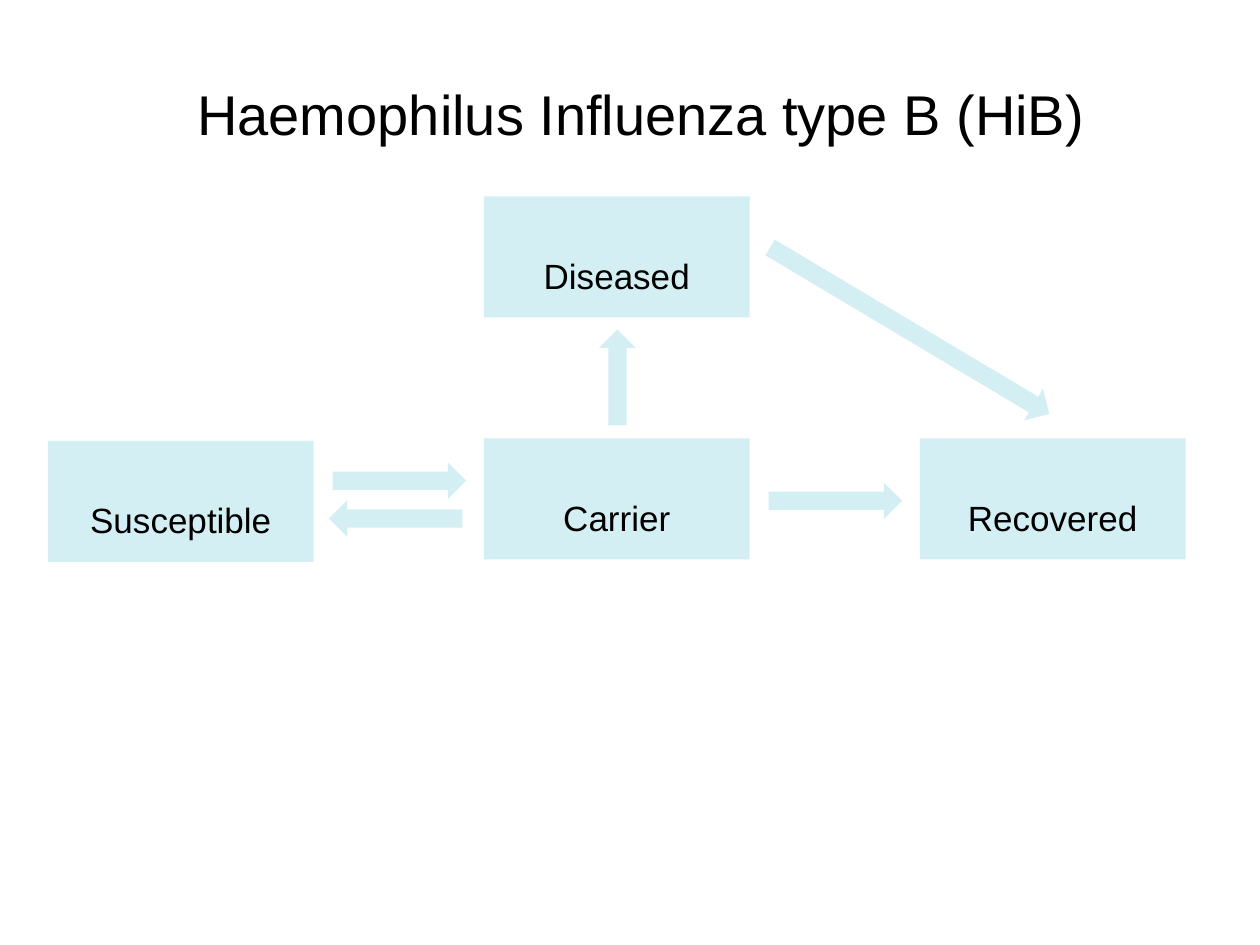
import pptx
import pptx.dml.color
import pptx.enum.shapes
import pptx.enum.text
import pptx.util

Inches = pptx.util.Inches
Pt = pptx.util.Pt
Shape = pptx.enum.shapes.MSO_SHAPE
Align = pptx.enum.text.PP_ALIGN
Anchor = pptx.enum.text.MSO_ANCHOR

BLACK = pptx.dml.color.RGBColor(0x00, 0x00, 0x00)
AQUA = pptx.dml.color.RGBColor(0xD4, 0xEF, 0xF4)

BOX_W, BOX_H = 2.11, 0.96
ARROW_H = 0.29
TOP, ROW = 1.56, 3.48
LEFT, STEP = 0.38, 3.46


class Chart:
    def __init__(self, deck):
        self.font = "Arial"
        self.slide = deck.slides.add_slide(deck.slide_layouts[5])

    def label(self, frame, text, size):
        """Set one centred line in the slide's type style."""
        frame.text = text
        line = frame.paragraphs[0]
        line.alignment = Align.CENTER
        font = line.runs[0].font
        font.name, font.size, font.color.rgb = self.font, Pt(size), BLACK

    def title(self, text):
        shape = self.slide.shapes.title
        shape.left, shape.top = Inches(0.33), Inches(0.62)
        shape.width, shape.height = Inches(9.52), Inches(0.55)
        frame = shape.text_frame
        frame.margin_left = frame.margin_right = frame.margin_bottom = 0
        frame.margin_top = Inches(0.01)
        frame.vertical_anchor = Anchor.TOP
        frame.word_wrap = True
        self.label(frame, text, 32)

    def block(self, kind, left, top, width, height):
        """Add a flat, unlined shape in the diagram colour."""
        shape = self.slide.shapes.add_shape(
            kind, Inches(left), Inches(top), Inches(width), Inches(height))
        shape.shadow.inherit = False
        shape.fill.solid()
        shape.fill.fore_color.rgb = AQUA
        shape.line.fill.background()
        return shape

    def state(self, text, left, top):
        frame = self.block(Shape.RECTANGLE, left, top, BOX_W, BOX_H).text_frame
        frame.vertical_anchor = Anchor.MIDDLE
        frame.margin_top = Inches(0.34)  # sets the label low in its box
        frame.word_wrap = True
        self.label(frame, text, 20)

    def arrow(self, left, top, width, turn=0):
        shape = self.block(Shape.RIGHT_ARROW, left, top, width, ARROW_H)
        shape.rotation = turn


def main():
    deck = pptx.Presentation()
    deck.slide_width, deck.slide_height = Inches(10), Inches(7.5)
    chart = Chart(deck)
    chart.title("Haemophilus Influenza type B (HiB)")

    states = [
        ("Susceptible", 0, ROW + 0.02),
        ("Carrier", 1, ROW),
        ("Recovered", 2, ROW),
        ("Diseased", 1, TOP),
    ]
    for name, col, top in states:
        chart.state(name, LEFT + col * STEP, top)

    chart.arrow(6.1, 3.83, 1.06)  # carrier to recovered
    chart.arrow(4.52, 2.85, 0.76, 270)  # carrier to diseased
    chart.arrow(5.93, 2.48, 2.58, 30.8)  # diseased to recovered
    chart.arrow(2.64, 3.67, 1.06)  # susceptible to carrier
    chart.arrow(2.61, 3.97, 1.06, 180)  # carrier to susceptible

    deck.save("out.pptx")


if __name__ == "__main__":
    main()
